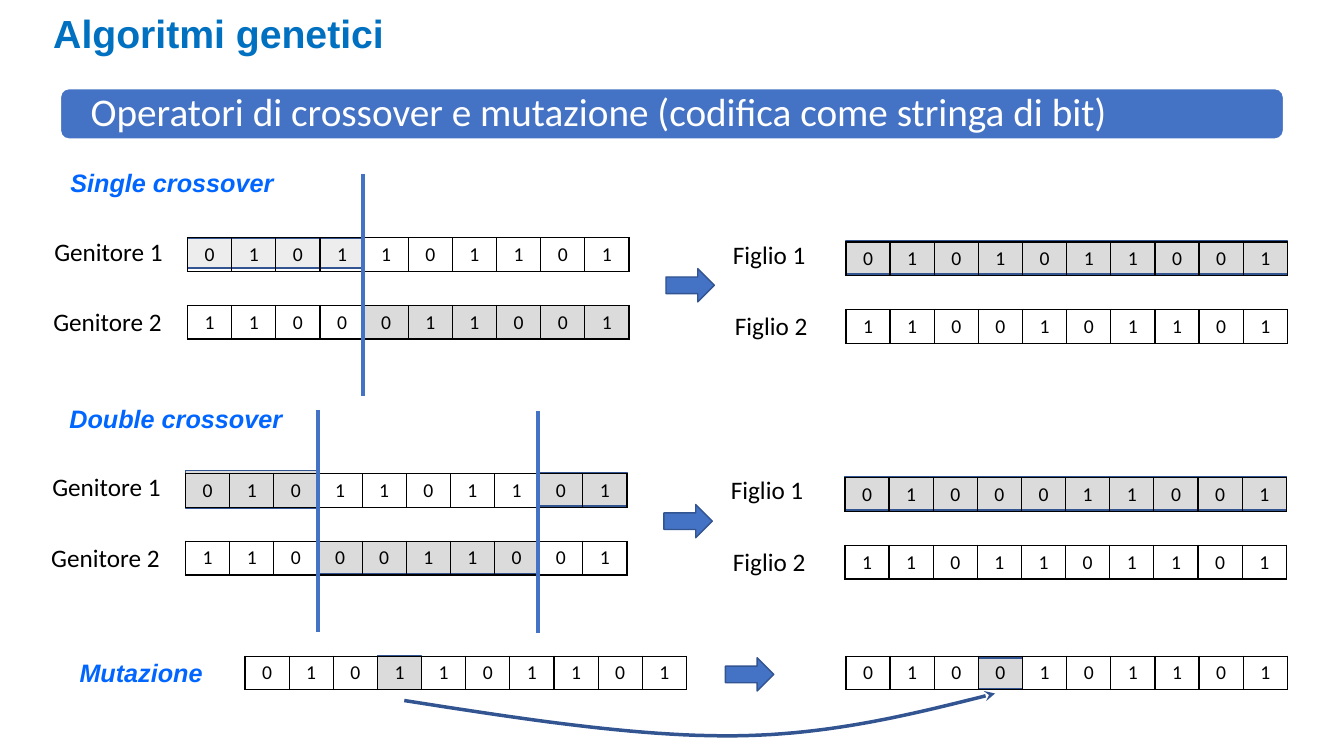
import pptx
import pptx.util
import pptx.oxml
import pptx.oxml.ns
import pptx.dml.color
import pptx.enum.shapes
import pptx.enum.text

# Grid: 1333 columns by 750 rows, each a hundredth of an inch
UNIT = pptx.util.Inches(0.01)
COLS, ROWS = 1333, 750
CELL, HIGH = 43.8, 33
HUE = {"title": "0070C0", "head": "0066FF", "blue": "4472C4", "edge": "325491",
       "grey": "DBDBDB", "pale": "EDEDED", "ink": "000000", "white": "FFFFFF"}
KIND = pptx.enum.shapes.MSO_SHAPE
ALIGN = pptx.enum.text.PP_ALIGN
MID = pptx.enum.text.MSO_ANCHOR.MIDDLE

deck = pptx.Presentation()
deck.slide_width, deck.slide_height = COLS * UNIT, ROWS * UNIT
slide = deck.slides.add_slide(deck.slide_layouts[6])
shapes = slide.shapes


def write(text, at=None, frame=None, size=18, font="Calibri", hue="ink", bold=False,
          slant=False, align=ALIGN.LEFT, anchor=None, inset=None):
    """Write text in a new box at a grid place, or in a given frame."""
    if frame is None:
        frame = shapes.add_textbox(*[n * UNIT for n in at]).text_frame
        frame.word_wrap = True
        if anchor is not None:
            frame.vertical_anchor = anchor
        if inset is not None:
            frame.margin_left = frame.margin_right = inset * UNIT
            frame.margin_top = frame.margin_bottom = inset * UNIT
    para = frame.paragraphs[0]
    para.alignment = align
    run = para.add_run()
    run.text = text
    run.font.size = pptx.util.Pt(size)
    run.font.name = font
    run.font.bold, run.font.italic = bold, slant
    run.font.color.rgb = pptx.dml.color.RGBColor.from_string(HUE[hue])
    return para


def draw(kind, x, y, wide, high, fill, edge="edge", turn=0):
    """Draw a filled preset shape at a grid place."""
    shape = shapes.add_shape(kind, *[round(n * UNIT) for n in (x, y, wide, high)])
    shape.shadow.inherit = False
    shape.fill.solid()
    shape.fill.fore_color.rgb = pptx.dml.color.RGBColor.from_string(HUE[fill])
    shape.line.color.rgb = pptx.dml.color.RGBColor.from_string(HUE[edge])
    shape.line.width = pptx.util.Pt(1)
    shape.rotation = turn
    return shape


# Title and banner
write("Algoritmi genetici", at=(43, -3, 1263, 71), size=28, font="Arial",
      hue="title", bold=True, anchor=MID)
banner = draw(KIND.ROUNDED_RECTANGLE, 60, 88, 1213, 50, "blue", edge="white")
para = write("Operatori di crossover e mutazione (codifica come stringa di bit)",
             at=(69, 90, 1195, 45), size=28, hue="white", anchor=MID, inset=21)
para.line_spacing = 0.9

# Bit strips: left, top, bits, shades (first cell, end cell, drop, height, fill)
whole = [(0, 10, -1, HIGH, "grey")]
strips = [
    (186, 236, "0101101101", [(0, 4, 0, 30, "pale")]),
    (186, 303, "1100011001", [(4, 10, 0, 34, "grey")]),
    (839, 240, "0101011001", whole),
    (839, 307, "1100101101", []),
    (184, 470, "0101101101", [(0, 3, -3, 37, "grey"), (8, 10, -1, HIGH, "grey")]),
    (184, 537, "1100011001", [(3, 8, 0, 32, "grey")]),
    (838, 474, "0100011001", whole),
    (838, 541, "1101101101", []),
    (243, 651, "0101101101", [(3, 4, 0, HIGH, "grey")]),
    (839, 651, "0100101101", [(3, 4, 2, 30, "grey")]),
]
for left, top, bits, shades in strips:
    for first, end, drop, high, fill in shades:
        draw(KIND.RECTANGLE, left + first * CELL, top + drop,
             (end - first) * CELL, high, fill)
    table = shapes.add_table(1, len(bits), left * UNIT, top * UNIT,
                             round(len(bits) * CELL * UNIT), HIGH * UNIT).table
    table.first_row = table.horz_banding = False
    for col, bit in enumerate(bits):
        table.columns[col].width = round(CELL * UNIT)
        cell = table.cell(0, col)
        props = cell._tc.get_or_add_tcPr()
        for side in ("lnL", "lnR", "lnT", "lnB"):
            props.append(pptx.oxml.parse_xml(
                f'<a:{side} {pptx.oxml.ns.nsdecls("a")} w="12700"><a:solidFill>'
                f'<a:srgbClr val="{HUE["ink"]}"/></a:solidFill></a:{side}>'))
        cell.fill.background()
        write(bit, frame=cell.text_frame, size=14, align=ALIGN.CENTER)

# Row labels and arrows of the two crossovers
for across, down in ((0, 0), (-2, 234)):
    for text, x, y in (("Genitore 1", 44, 229), ("Genitore 2", 43, 299),
                       ("Figlio 1", 717, 232), ("Figlio 2", 719, 303)):
        write(text, at=(x + across, y + down, 199, 41))
    draw(KIND.DOWN_ARROW, 668 + across, 259 + down, 33, 48, "blue", turn=270)
draw(KIND.DOWN_ARROW, 727, 645, 33, 48, "blue", turn=270)

# Section heads
for text, x, y in (("Single crossover", 60, 161), ("Double crossover", 59, 395),
                   ("Mutazione", 69, 647)):
    write(text, at=(x, y, 319, 41), font="Arial", hue="head", bold=True, slant=True)

# Cut lines
for x, y in ((360, 173), (315, 407), (534, 408)):
    cut = shapes.add_connector(pptx.enum.shapes.MSO_CONNECTOR.STRAIGHT,
                               x * UNIT, y * UNIT, x * UNIT, (y + 220) * UNIT)
    cut.line.color.rgb = pptx.dml.color.RGBColor.from_string(HUE["blue"])
    cut.line.width = pptx.util.Pt(2.75)
    cut._element.spPr.append(pptx.oxml.parse_xml(
        f'<a:effectLst {pptx.oxml.ns.nsdecls("a")}/>'))

# Curved arrow from the old bit to the new one
bends = [((401, 695), (516, 713), (631, 731), (729, 730)),
         ((729, 730), (826, 729), (907, 708), (987, 688))]
STEPS = 24
points = []
for bend in bends:
    for step in range(1, STEPS + 1):
        t = step / STEPS
        parts = ((1 - t) ** 3, 3 * t * (1 - t) ** 2, 3 * t * t * (1 - t), t ** 3)
        points.append([sum(p * knot[axis] for p, knot in zip(parts, bend)) * UNIT
                       for axis in (0, 1)])
path = shapes.build_freeform(401 * UNIT, 695 * UNIT)
path.add_line_segments(points, close=False)
curve = path.convert_to_shape()
curve.shadow.inherit = False
curve.fill.background()
curve.line.color.rgb = pptx.dml.color.RGBColor.from_string(HUE["edge"])
curve.line.width = pptx.util.Pt(2.5)
curve.line._get_or_add_ln().append(pptx.oxml.parse_xml(
    f'<a:tailEnd {pptx.oxml.ns.nsdecls("a")} type="stealth"/>'))

deck.save("out.pptx")
